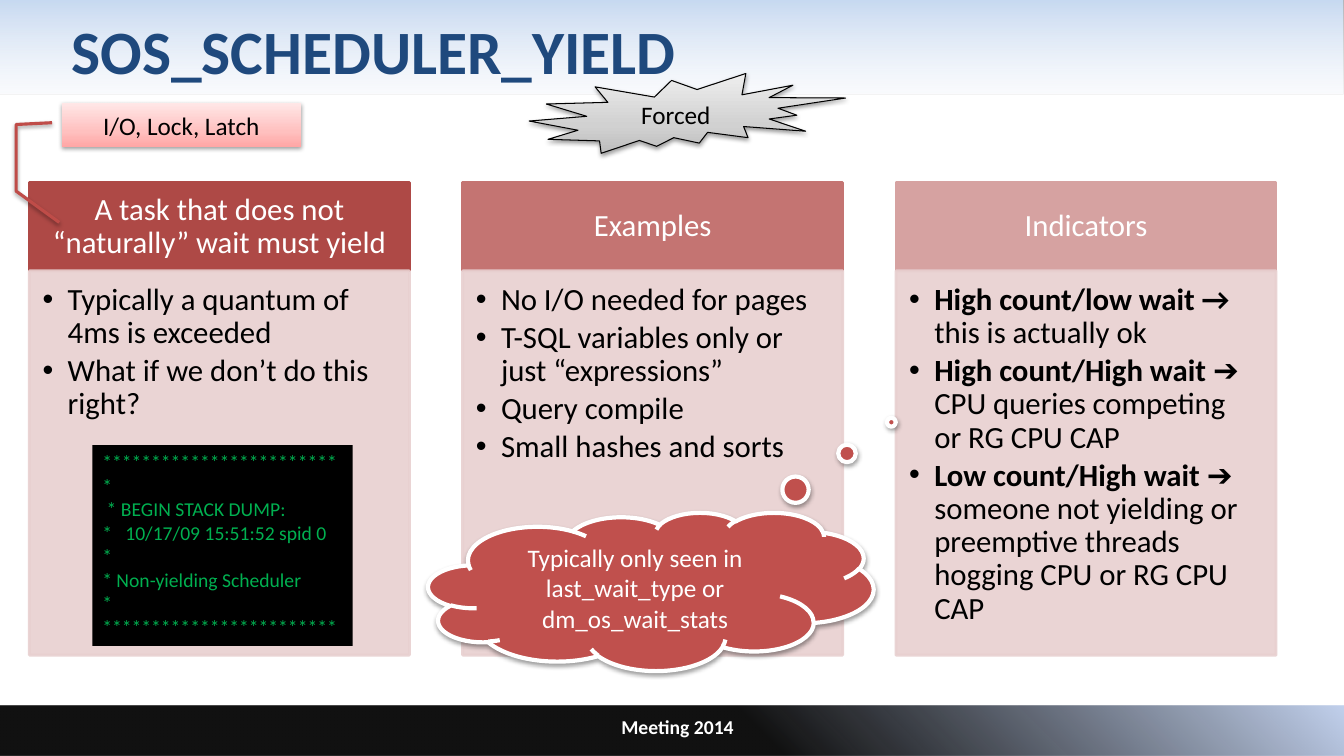
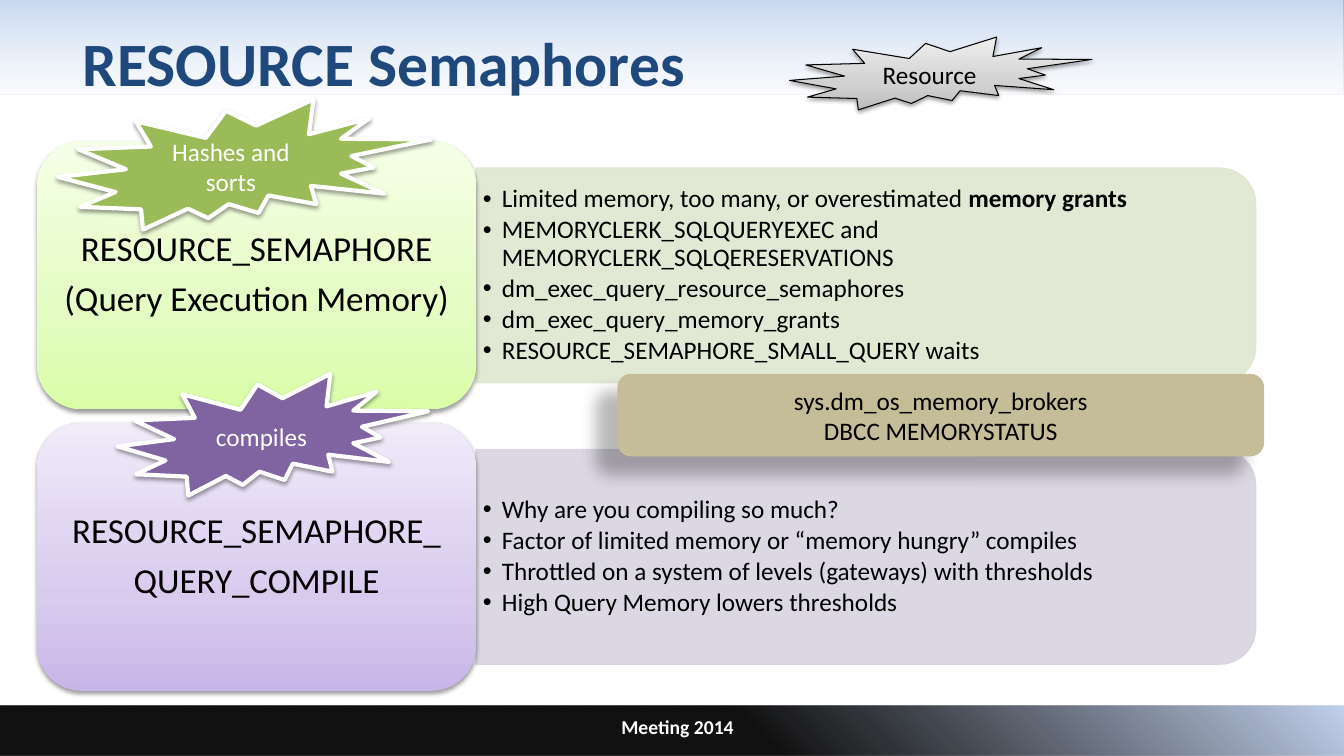
from dataclasses import dataclass
from typing import Any, NamedTuple, Optional

from lxml import etree
from pptx import Presentation
from pptx.dml.color import RGBColor
from pptx.enum import shapes, text
from pptx.oxml.ns import qn
from pptx.util import Pt

FONT = "Calibri"
BLACK = RGBColor(0x00, 0x00, 0x00)
WHITE = RGBColor(0xFF, 0xFF, 0xFF)
NAVY = RGBColor(0x1F, 0x49, 0x7D)
GREEN = RGBColor(0x00, 0xB0, 0x50)
RED = RGBColor(0xC0, 0x50, 0x4D)
BRICK = RGBColor(0xBF, 0x4C, 0x48)
BLUSH = RGBColor(0xE8, 0xD0, 0xD0)
SAND = RGBColor(0xC4, 0xBD, 0x97)
OLIVE = RGBColor(0x9B, 0xBB, 0x59)
PLUM = RGBColor(0x80, 0x64, 0xA2)
SAGE = RGBColor(0xDE, 0xE7, 0xD1)
LILAC = RGBColor(0xD8, 0xD3, 0xE0)
HEADS = (RGBColor(0xAE, 0x49, 0x46), RGBColor(0xC4, 0x74, 0x72),
         RGBColor(0xD6, 0xA2, 0xA1))

KIND = shapes.MSO_SHAPE
LEFT, MID = text.PP_ALIGN.LEFT, text.PP_ALIGN.CENTER
TOP, CORE = text.MSO_ANCHOR.TOP, text.MSO_ANCHOR.MIDDLE


class Box(NamedTuple):
    x: float
    y: float
    w: float
    h: float


class Stop(NamedTuple):
    pos: int
    color: RGBColor
    alpha: int = 100


class Blend(NamedTuple):
    angle: int
    stops: tuple[Stop, ...]


class Shade(NamedTuple):
    alpha: int
    blur: float
    dist: float
    angle: int


def fade(*codes: str) -> Blend:
    """Three-colour blend that runs from the bottom edge up."""
    return Blend(270, tuple(Stop(p, RGBColor.from_string(c))
                            for p, c in zip((0, 35, 100), codes)))


PALE = RGBColor(0xE1, 0xE8, 0xF5)
SKY = Blend(90, (Stop(0, RGBColor(0xDC, 0xE6, 0xF2), 41),
                 Stop(0, RGBColor(0xC6, 0xD9, 0xF1)), Stop(100, PALE, 16)))
NIGHT = Blend(315, (Stop(56, BLACK, 93), Stop(100, RGBColor(0xC2, 0xD1, 0xED)),
                    Stop(100, PALE, 16)))
PINK = fade("FFA6A5", "FFC0BF", "FFE7E7")
GREY = fade("BDBDBD", "D1D1D1", "EEEEEE")
LIME = fade("DAFDA7", "E4FCC2", "F5FFE7")
MAUVE = fade("C9B5E8", "D8CBEE", "F0EAF9")
SOFT = Shade(38, 3.15, 1.57, 90)
DEEP = Shade(28, 11.8, 19.7, 141)


@dataclass(frozen=True)
class Look:
    """Fill, outline and shadow of a shape."""
    fill: Any = None
    edge: Optional[RGBColor] = None
    width: float = 0
    alpha: int = 100
    shade: Optional[Shade] = None


@dataclass(frozen=True)
class Type:
    """Text format; gap is the space after, as a share of the size."""
    size: float = 18
    ink: RGBColor = BLACK
    bold: bool = False
    align: Any = MID
    anchor: Any = CORE
    inset: tuple[float, ...] = (7.2, 3.6, 7.2, 3.6)
    line: float = 1
    gap: float = 0
    dent: float = 0


TITLE = Type(44, NAVY, True, LEFT)
FOOT = Type(14, WHITE, True)
HEAD = Type(22, WHITE, inset=(12.5, 7, 12.5, 7), line=0.9, gap=0.35)
LIST = Type(22, align=LEFT, anchor=TOP, inset=(9.4, 9.4, 12.5, 14),
            line=0.9, gap=0.15, dent=18)
NOTE = Type(18, align=LEFT, inset=(5, 2.9, 5, 2.9), line=0.9, gap=0.15, dent=13.5)
CARD = Type(25, line=0.9, gap=0.35)
DUMP = Type(14, GREEN, align=LEFT, anchor=TOP)
TAG = Type()
LIGHT = Type(ink=WHITE)


def put(item: Any, vals: dict[str, Any]) -> None:
    for key, val in vals.items():
        setattr(item, key, val)


def sub(node: Any, tag: str, **attrs: Any) -> Any:
    return etree.SubElement(node, qn(tag), {k: str(v) for k, v in attrs.items()})


def tint(node: Any, color: RGBColor, alpha: int) -> None:
    code = sub(node, "a:srgbClr", val=color)
    if alpha < 100:
        sub(code, "a:alpha", val=alpha * 1000)


def paint(shape: Any, look: Look) -> None:
    props = shape._element.spPr
    if isinstance(look.fill, Blend):
        shape.fill.gradient()
        grad = props.find(qn("a:gradFill"))
        grad.clear()
        stops = sub(grad, "a:gsLst")
        for stop in look.fill.stops:
            tint(sub(stops, "a:gs", pos=stop.pos * 1000), stop.color, stop.alpha)
        sub(grad, "a:lin", ang=look.fill.angle * 60000, scaled=0)
    else:
        shape.fill.solid()
        shape.fill.fore_color.rgb = look.fill
    if look.edge is None:
        shape.line.fill.background()
    else:
        shape.line.color.rgb = look.edge
        shape.line.width = Pt(look.width)
    if look.alpha < 100:
        for code in props.iter(qn("a:srgbClr")):
            sub(code, "a:alpha", val=look.alpha * 1000)
    shape.shadow.inherit = False
    if look.shade:
        cast = sub(props.find(qn("a:effectLst")), "a:outerShdw",
                   blurRad=Pt(look.shade.blur), dist=Pt(look.shade.dist),
                   dir=look.shade.angle * 60000, rotWithShape=0)
        tint(cast, BLACK, look.shade.alpha)


def write(shape: Any, paras: tuple, style: Type) -> None:
    """Each paragraph is a string or a tuple of (text, bold) runs."""
    frame = shape.text_frame
    sides = ("margin_left", "margin_top", "margin_right", "margin_bottom")
    put(frame, dict(zip(sides, map(Pt, style.inset)),
                    word_wrap=True, vertical_anchor=style.anchor))
    for num, runs in enumerate(paras):
        para = frame.add_paragraph() if num else frame.paragraphs[0]
        put(para, {"alignment": style.align, "line_spacing": style.line,
                   "space_after": Pt(style.size * style.gap)})
        if style.dent:
            props = para._p.get_or_add_pPr()
            props.set("marL", str(Pt(style.dent)))
            props.set("indent", str(-Pt(style.dent)))
            sub(props, "a:buFont", typeface="Arial")
            sub(props, "a:buChar", char="•")
        for words, bold in ((runs, style.bold),) if isinstance(runs, str) else runs:
            run = para.add_run()
            run.text = words
            put(run.font, {"name": FONT, "size": Pt(style.size), "bold": bold})
            run.font.color.rgb = style.ink


def draw(slide: Any, kind: Any, box: Box, look: Look, paras: tuple = (),
         style: Type = TAG, turn: float = 0, bends: tuple[float, ...] = ()) -> None:
    shape = slide.shapes.add_shape(kind, *map(Pt, box))
    shape.rotation = turn
    for num, bend in enumerate(bends):
        shape.adjustments[num] = bend
    paint(shape, look)
    if paras:
        write(shape, paras, style)


def label(slide: Any, box: Box, paras: tuple, style: Type) -> None:
    write(slide.shapes.add_textbox(*map(Pt, box)), paras, style)


def start(deck: Any, title: str, x: float, y: float) -> Any:
    """Add a slide with its bands, title and footer."""
    slide = deck.slides.add_slide(deck.slide_layouts[6])
    draw(slide, KIND.RECTANGLE, Box(0, 0, 960, 67.5), Look(SKY))
    draw(slide, KIND.RECTANGLE, Box(0, 504, 960, 36), Look(NIGHT))
    label(slide, Box(x, y, 864, 90), (title,), TITLE)
    label(slide, Box(272, 504, 424, 30), ("Meeting 2014",), FOOT)
    return slide


def burst(slide: Any, box: Box, words: str, fill: Any = GREY,
          edge: RGBColor = BLACK, width: float = 0.75, style: Type = TAG) -> None:
    draw(slide, KIND.EXPLOSION2, box, Look(fill, edge, width, shade=SOFT),
         (words,), style)


COLUMNS = (
    ("A task that does not “naturally” wait must yield",
     ("Typically a quantum of 4ms is exceeded", "What if we don’t do this right?")),
    ("Examples",
     ("No I/O needed for pages", "T-SQL variables only or just “expressions”",
      "Query compile", "Small hashes and sorts")),
    ("Indicators",
     ((("High count/low wait →", True), (" this is actually ok", False)),
      (("High count/High wait ", True),
       ("➔ CPU queries competing or RG CPU CAP", False)),
      (("Low count/High wait ", True),
       ("➔ someone not yielding or preemptive threads hogging CPU or RG CPU CAP",
        False)))),
)
STARS = "*" * 24
TRACE = (STARS, "*", " * BEGIN STACK DUMP:", "*   10/17/09 15:51:52 spid 0", "*",
         "* Non-yielding Scheduler", "*", STARS)


def yields(deck: Any) -> None:
    slide = start(deck, "SOS_SCHEDULER_YIELD", 44, -9.5)
    for num, ((head, items), color) in enumerate(zip(COLUMNS, HEADS)):
        x = 21 + 309.5 * num
        draw(slide, KIND.RECTANGLE, Box(x, 130.5, 271.5, 63),
             Look(color, color, 2), (head,), HEAD)
        draw(slide, KIND.RECTANGLE, Box(x, 193.5, 271.5, 274.5),
             Look(BLUSH, BLUSH, 2, 90), items, LIST)
    draw(slide, KIND.RECTANGLE, Box(66, 318, 186, 143.5), Look(BLACK), TRACE, DUMP)
    draw(slide, KIND.LINE_CALLOUT_3_NO_BORDER, Box(44, 73.5, 171, 31.5),
         Look(PINK, BRICK, 2.25, shade=SOFT), ("I/O, Lock, Latch",),
         bends=(0.45, -0.04, 0.49, -0.19, 2, -0.19, 2.71, -0.01))
    burst(slide, Box(378, 52.5, 226, 57), "Forced")
    draw(slide, KIND.CLOUD_CALLOUT, Box(306, 366, 318, 113),
         Look(RED, WHITE, 3, shade=SOFT),
         ("Typically only seen in last_wait_type or dm_os_wait_stats",),
         LIGHT, bends=(0.54, -1.07))


ROWS = (
    (SAGE, LIME, ("RESOURCE_SEMAPHORE", "(Query Execution Memory)"),
     ((("Limited memory, too many, or overestimated ", False),
       ("memory grants", True)),
      "MEMORYCLERK_SQLQUERYEXEC and MEMORYCLERK_SQLQERESERVATIONS",
      "dm_exec_query_resource_semaphores", "dm_exec_query_memory_grants",
      "RESOURCE_SEMAPHORE_SMALL_QUERY waits")),
    (LILAC, MAUVE, ("RESOURCE_SEMAPHORE_", "QUERY_COMPILE"),
     ("Why are you compiling so much?",
      "Factor of limited memory or “memory hungry” compiles",
      "Throttled on a system of levels (gateways) with thresholds",
      "High Query Memory lowers thresholds")),
)


def grants(deck: Any) -> None:
    slide = start(deck, "RESOURCE Semaphores", 52, -1)
    wide, high = 557, 153.5
    skew = (wide - high) / 2
    for num, (pale, blend, names, items) in enumerate(ROWS):
        y = 101 + 201 * num
        draw(slide, KIND.ROUND_2_SAME_RECTANGLE,
             Box(340 + skew, y + 19 - skew, high, wide),
             Look(pale, pale, 0.75, 90), turn=90)
        label(slide, Box(340, y + 26.5, 550, 138.5), items, NOTE)
        draw(slide, KIND.ROUNDED_RECTANGLE, Box(26.5, y, 313.5, 191.5),
             Look(blend, shade=SOFT), names, CARD)
    burst(slide, Box(564, 26.5, 216, 52), "Resource")
    draw(slide, KIND.FLOWCHART_ALTERNATE_PROCESS, Box(441, 267, 462, 59),
         Look(SAND, shade=DEEP), ("sys.dm_os_memory_brokers", "DBCC MEMORYSTATUS"))
    burst(slide, Box(41.5, 71, 266.5, 93), "Hashes and sorts", OLIVE, WHITE, 3, LIGHT)
    burst(slide, Box(84, 267, 222, 87), "compiles", PLUM, WHITE, 3, LIGHT)


def main() -> None:
    deck = Presentation()
    put(deck, {"slide_width": Pt(960), "slide_height": Pt(540)})
    yields(deck)
    grants(deck)
    deck.save("out.pptx")


if __name__ == "__main__":
    main()
